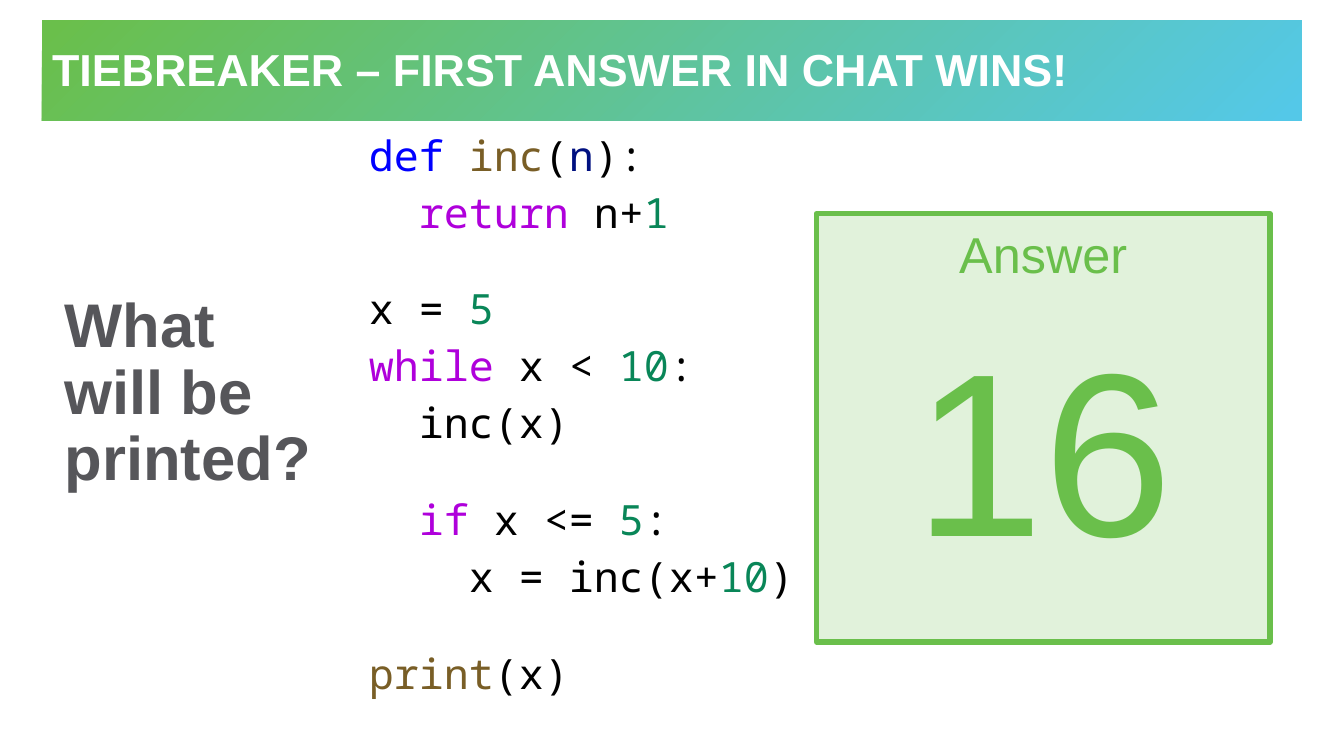
import pptx
import pptx.dml.color
import pptx.enum.shapes
import pptx.enum.text
import pptx.util

Pt = pptx.util.Pt
ALIGN = pptx.enum.text.PP_ALIGN
ANCHOR = pptx.enum.text.MSO_ANCHOR
AUTO_SIZE = pptx.enum.text.MSO_AUTO_SIZE

GREEN, SKY, PALE_GREEN, GREY, WHITE = "6ABF4B", "54C8E8", "E1F2DB", "56565A", "FFFFFF"
PLAIN, DEFINE, CALL, NAME, CONTROL, NUMBER = (
    "000000", "0000FF", "795E26", "001080", "AF00DB", "098658")
CODE_SIZE = 29.8
CHARACTER = CODE_SIZE * 0.6
BLANK_LINE = 28.6

CODE = [
    (0, False, [("def ", DEFINE), ("inc", CALL), ("(", PLAIN), ("n", NAME), ("):", PLAIN)]),
    (2, False, [("return", CONTROL), (" n+", PLAIN), ("1", NUMBER)]),
    (0, True, [("x = ", PLAIN), ("5", NUMBER)]),
    (0, False, [("while", CONTROL), (" x < ", PLAIN), ("10", NUMBER), (":", PLAIN)]),
    (2, False, [("inc(x)", PLAIN)]),
    (2, True, [("if", CONTROL), (" x <= ", PLAIN), ("5", NUMBER), (":", PLAIN)]),
    (4, False, [("x = inc(x+", PLAIN), ("10", NUMBER), (")", PLAIN)]),
    (0, True, [("print", CALL), ("(x)", PLAIN)]),
]


def colour(hex_text):
    return pptx.dml.color.RGBColor.from_string(hex_text)


def style(run, size, hex_text, bold=False, face="Arial"):
    run.font.name = face
    run.font.size = Pt(size)
    run.font.bold = bold
    run.font.color.rgb = colour(hex_text)


def prepare(frame, insets, anchor=ANCHOR.TOP):
    frame.word_wrap = True
    frame.auto_size = AUTO_SIZE.NONE
    frame.vertical_anchor = anchor
    frame.margin_left, frame.margin_top, frame.margin_right, frame.margin_bottom = map(Pt, insets)


def banner(slide, left, top, width, height):
    title = slide.shapes.title
    title.left, title.top, title.width, title.height = map(Pt, (left, top, width, height))
    title.fill.gradient()
    title.fill.gradient_angle = 315
    for stop, hex_text, position in zip(title.fill.gradient_stops, (GREEN, SKY), (0.01, 0.99)):
        stop.color.rgb = colour(hex_text)
        stop.position = position
    frame = title.text_frame
    prepare(frame, (7.2, 3.6, 0, 0), ANCHOR.MIDDLE)
    frame.text = "TIEBREAKER – FIRST ANSWER IN CHAT WINS!"
    heading = frame.paragraphs[0]
    heading.alignment = ALIGN.LEFT
    heading.line_spacing = 0.85
    style(heading.runs[0], 32, WHITE, bold=True)


def code_listing(slide, left, top, width, height):
    frame = slide.shapes.add_textbox(*map(Pt, (left, top, width, height))).text_frame
    prepare(frame, (0, 0, 0, 0))
    for number, (indent, after_blank, tokens) in enumerate(CODE):
        line = frame.add_paragraph() if number else frame.paragraphs[0]
        line.line_spacing = 0.8
        line.space_before = Pt(BLANK_LINE if after_blank else 0)
        line.space_after = Pt(12)
        properties = line._p.get_or_add_pPr()
        properties.set("marL", str(Pt(4.3 + indent * CHARACTER)))
        properties.set("indent", "0")
        for text, hex_text in tokens:
            token = line.add_run()
            token.text = text
            style(token, CODE_SIZE, hex_text, face="Noto Sans Mono")


def answer_card(slide, left, top, width, height):
    card = slide.shapes.add_shape(
        pptx.enum.shapes.MSO_SHAPE.RECTANGLE, *map(Pt, (left, top, width, height)))
    card.shadow.inherit = False
    card.fill.solid()
    card.fill.fore_color.rgb = colour(PALE_GREEN)
    card.line.color.rgb = colour(GREEN)
    card.line.width = Pt(3.75)
    frame = card.text_frame
    prepare(frame, (14.4, 11.5, 14.4, 11.5))
    frame.text = "Answer\n16"
    for line, size, gap in zip(frame.paragraphs, (36, 166), (0, 37)):
        line.alignment = ALIGN.CENTER
        line.line_spacing = 0.9
        line.space_before = Pt(gap)
        style(line.runs[0], size, GREEN)


def question(slide, left, top, width, height):
    frame = slide.shapes.add_textbox(*map(Pt, (left, top, width, height))).text_frame
    prepare(frame, (14.4, 11.5, 14.4, 11.5))
    frame.auto_size = AUTO_SIZE.SHAPE_TO_FIT_TEXT
    frame.text = "What will be printed?"
    prompt = frame.paragraphs[0]
    prompt.line_spacing = 0.9
    prompt.space_after = Pt(6)
    style(prompt.runs[0], 44, GREY, bold=True)


deck = pptx.Presentation()
deck.slide_width, deck.slide_height = Pt(960), Pt(540)
tiebreaker = deck.slides.add_slide(deck.slide_layouts[5])
banner(tiebreaker, 30, 14.4, 900, 72)
code_listing(tiebreaker, 259.2, 99.4, 324, 414)
answer_card(tiebreaker, 583.2, 152.6, 324, 306)
question(tiebreaker, 31.7, 198.7, 205.2, 167)
deck.save("out.pptx")
